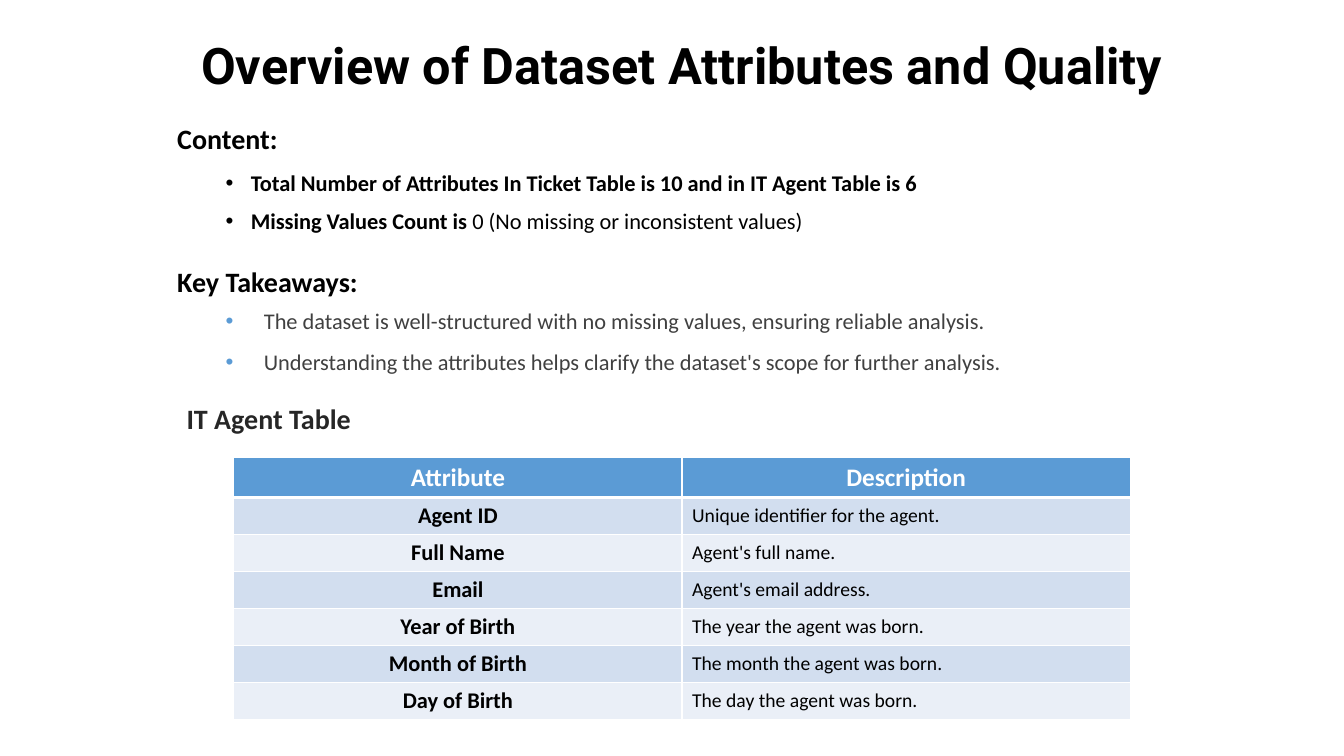
import pptx
import pptx.util
import pptx.dml.color
import pptx.enum.text
import pptx.oxml
import pptx.oxml.ns

RGBColor = pptx.dml.color.RGBColor
BLACK = RGBColor(0x00, 0x00, 0x00)
WHITE = RGBColor(0xFF, 0xFF, 0xFF)
CHARCOAL = RGBColor(0x26, 0x26, 0x26)
GREY = RGBColor(0x40, 0x40, 0x40)
BLUE = RGBColor(0x5B, 0x9B, 0xD5)
BANDS = [RGBColor(0xD2, 0xDE, 0xEF), RGBColor(0xEA, 0xEF, 0xF7)]
CENTER = pptx.enum.text.PP_ALIGN.CENTER
LEFT = pptx.enum.text.PP_ALIGN.LEFT
MIDDLE = pptx.enum.text.MSO_ANCHOR.MIDDLE

deck = pptx.Presentation()
deck.slide_width = pptx.util.Inches(13.33)
deck.slide_height = pptx.util.Inches(7.5)
slide = deck.slides.add_slide(deck.slide_layouts[6])


def area(left, top, width, height):
    across, down = deck.slide_width / 100, deck.slide_height / 100
    return int(left * across), int(top * down), int(width * across), int(height * down)


def write(text, frame, size, color=BLACK, bold=False, font="Calibri", align=LEFT,
          spacing=1.0, before=0, bullet=None, indent=0, same_line=False):
    paragraph = frame.paragraphs[-1]
    if paragraph.runs and not same_line:
        paragraph = frame.add_paragraph()
    if not same_line:
        paragraph.alignment = align
        paragraph.line_spacing = spacing
        paragraph.space_before = pptx.util.Pt(before)
    if bullet is not None:
        properties = paragraph._p.get_or_add_pPr()
        properties.set("marL", str(pptx.util.Inches(indent)))
        properties.set("indent", str(-pptx.util.Inches(indent)))
        namespace = pptx.oxml.ns.nsdecls("a")
        for mark in (f'<a:buClr {namespace}><a:srgbClr val="{bullet}"/></a:buClr>',
                     f'<a:buFont {namespace} typeface="Arial"/>',
                     f'<a:buChar {namespace} char="•"/>'):
            properties.append(pptx.oxml.parse_xml(mark))
    run = paragraph.add_run()
    run.text = text
    run.font.name = font
    run.font.size = pptx.util.Pt(size)
    run.font.bold = bold
    run.font.color.rgb = color


title = slide.shapes.add_textbox(*area(1.5, 0, 98.5, 18.13)).text_frame
title.word_wrap = True
title.vertical_anchor = MIDDLE
write("Overview of Dataset Attributes and Quality", title, 36, bold=True,
      font="Roboto", align=CENTER, spacing=0.9)

for heading, top, width in [("Content:", 15.47, 9.08), ("Key Takeaways:", 34.4, 15.08)]:
    label = slide.shapes.add_textbox(*area(12.45, top, width, 5.87)).text_frame
    label.word_wrap = False
    write(heading, label, 20, bold=True)

content = slide.shapes.add_textbox(*area(16.05, 22.13, 78.32, 11.6)).text_frame
content.word_wrap = True
for fact in ["Total Number of Attributes In Ticket Table is 10 and in IT Agent Table is 6",
             "Missing Values Count is "]:
    write(fact, content, 16, bold=True, spacing=0.9, before=10, bullet=BLACK, indent=0.25)
write("0 (No missing or inconsistent values)", content, 16, same_line=True)

takeaways = slide.shapes.add_textbox(*area(16.05, 40, 78.32, 11.73)).text_frame
takeaways.word_wrap = True
for takeaway in [
    "The dataset is well-structured with no missing values, ensuring reliable analysis.",
    "Understanding the attributes helps clarify the dataset's scope for further analysis.",
]:
    write(takeaway, takeaways, 16, color=GREY, before=10, bullet=BLUE, indent=0.38)

table_heading = slide.shapes.add_textbox(*area(10.58, 52.4, 18.83, 7.07)).text_frame
table_heading.word_wrap = True
write("IT Agent Table", table_heading, 20, color=CHARCOAL, bold=True, align=CENTER)

attributes = [
    ("Attribute", "Description"),
    ("Agent ID", "Unique identifier for the agent."),
    ("Full Name", "Agent's full name."),
    ("Email", "Agent's email address."),
    ("Year of Birth", "The year the agent was born."),
    ("Month of Birth", "The month the agent was born."),
    ("Day of Birth", "The day the agent was born."),
]
agent_table = slide.shapes.add_table(len(attributes), 2, *area(17.4, 60.53, 66.7, 34.67)).table
for row, entries in enumerate(attributes):
    header = row == 0
    agent_table.rows[row].height = int(deck.slide_height * (0.0527 if header else 0.049))
    for column, entry in enumerate(entries):
        cell = agent_table.cell(row, column)
        cell.vertical_anchor = MIDDLE
        cell.margin_top = cell.margin_bottom = pptx.util.Inches(0.04)
        named = header or column == 0
        write(entry, cell.text_frame, 18 if header else 16 if named else 14,
              color=WHITE if header else BLACK, bold=named, align=CENTER if named else LEFT)
        cell_properties = cell._tc.get_or_add_tcPr()
        for side in ("lnL", "lnR", "lnT", "lnB"):
            thick = (header and side == "lnB") or (row == 1 and side == "lnT")
            cell_properties.append(pptx.oxml.parse_xml(
                f'<a:{side} {pptx.oxml.ns.nsdecls("a")} w="{pptx.util.Pt(3 if thick else 1)}">'
                f'<a:solidFill><a:srgbClr val="{WHITE}"/></a:solidFill></a:{side}>'))
        cell.fill.solid()
        cell.fill.fore_color.rgb = BLUE if header else BANDS[(row - 1) % 2]

deck.save("out.pptx")
